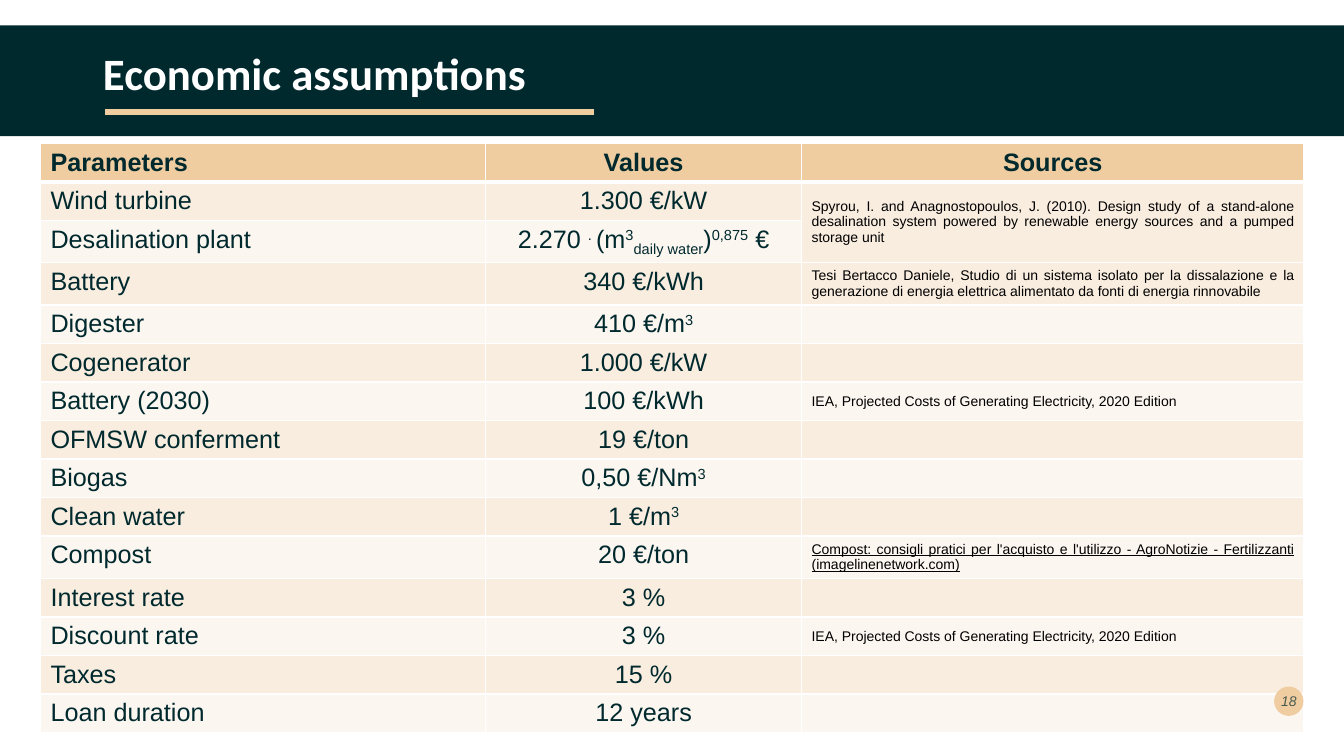
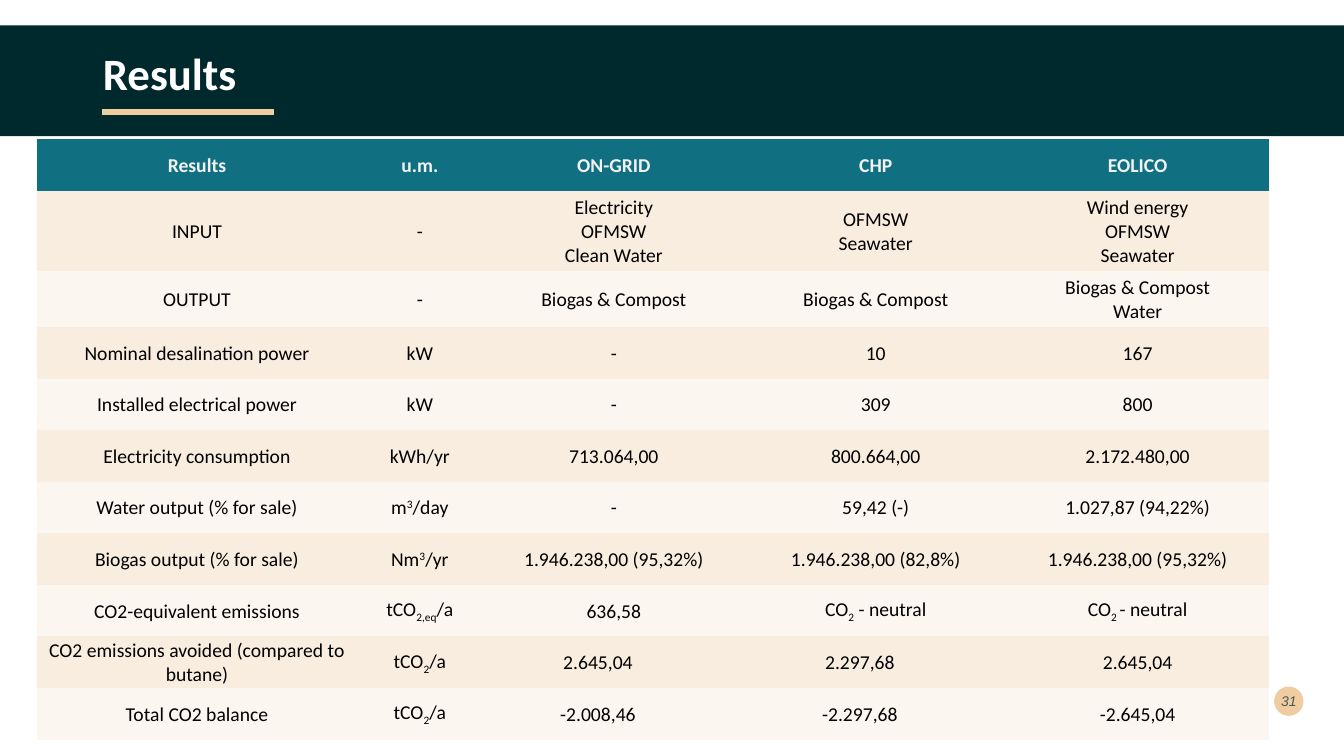
from dataclasses import dataclass

from lxml.etree import SubElement
from pptx import Presentation
from pptx.dml.color import RGBColor
from pptx.enum.shapes import MSO_CONNECTOR, MSO_SHAPE
from pptx.enum.text import MSO_ANCHOR as Anchor, PP_ALIGN as Align
from pptx.oxml.ns import qn
from pptx.util import Cm, Pt

COLORS = {
    "dark": "00292E",
    "sand": "F0CDA1",
    "band_odd": "F9EDE0",
    "band_even": "FCF6F0",
    "teal": "107082",
    "white": "FFFFFF",
    "header_text": "F2F2F2",
    "black": "000000",
    "number": "485A50",
}
SLIDE_WIDTH, SLIDE_HEIGHT = 33.87, 19.05
BASELINES = {"^": "30000", "_": "-25000"}
PLAIN_TABLE_STYLE = "{2D5ABB26-0587-4C30-8999-92F81FD0307C}"

SPYROU = (
    "Spyrou, I. and Anagnostopoulos, J. (2010). Design study of a stand-alone desalination "
    "system powered by renewable energy sources and a pumped storage unit"
)
BERTACCO = (
    "Tesi Bertacco Daniele, Studio di un sistema isolato per la dissalazione e la generazione "
    "di energia elettrica alimentato da fonti di energia rinnovabile"
)
IEA = "IEA, Projected Costs of Generating Electricity, 2020 Edition"
COMPOST = (
    "Compost: consigli pratici per l'acquisto e l'utilizzo - AgroNotizie - Fertilizzanti "
    "(imagelinenetwork.com)"
)

ASSUMPTIONS = [
    ("Parameters", "Values", "Sources"),
    ("Wind turbine", "1.300 €/kW", SPYROU),
    ("Desalination plant", "2.270 |^. |(m|^3|_daily water|)|^0,875| €", ""),
    ("Battery", "340 €/kWh", BERTACCO),
    ("Digester", "410 €/m|^3", ""),
    ("Cogenerator", "1.000 €/kW", ""),
    ("Battery (2030)", "100 €/kWh", IEA),
    ("OFMSW conferment", "19 €/ton", ""),
    ("Biogas", "0,50 €/Nm|^3", ""),
    ("Clean water", "1 €/m|^3", ""),
    ("Compost", "20 €/ton", COMPOST),
    ("Interest rate", "3 %", ""),
    ("Discount rate", "3 %", IEA),
    ("Taxes", "15 %", ""),
    ("Loan duration", "12 years", ""),
]
RESULTS = [
    ("Results", "u.m.", "ON-GRID", "CHP", "EOLICO"),
    ("INPUT", "-", "Electricity\nOFMSW\nClean Water", "OFMSW\nSeawater",
     "Wind energy\nOFMSW\nSeawater"),
    ("OUTPUT", "-", "Biogas & Compost", "Biogas & Compost", "Biogas & Compost\nWater"),
    ("Nominal desalination power", "kW", "-", "10", "167"),
    ("Installed electrical power", "kW", "-", "309", "800"),
    ("Electricity consumption", "kWh/yr", "713.064,00", "800.664,00", "2.172.480,00"),
    ("Water output (% for sale)", "m|^3|/day", "-", "59,42 (-)", "1.027,87 (94,22%)"),
    ("Biogas output (% for sale)", "Nm|^3|/yr", "1.946.238,00 (95,32%)",
     "1.946.238,00 (82,8%)", "1.946.238,00 (95,32%)"),
    ("CO2-equivalent emissions", "tCO|_2,eq|/a", "636,58", "CO|_2| - neutral",
     "CO|_2 |- neutral"),
    ("CO2 emissions avoided (compared to butane)", "tCO|_2|/a", "2.645,04", "2.297,68",
     "2.645,04"),
    ("Total CO2 balance", "tCO|_2|/a", "-2.008,46", "-2.297,68", "-2.645,04"),
]


@dataclass
class TextStyle:
    """Look of the text in a cell or shape."""

    font: str
    size: float
    color: str
    bold: bool = False
    italic: bool = False
    underline: bool = False
    align: Align = Align.CENTER
    anchor: Anchor = Anchor.MIDDLE


def rgb(name):
    """Return the named colour."""
    return RGBColor.from_string(COLORS[name])


def format_font(font, style):
    """Apply a text style to a font."""
    font.name, font.size = style.font, Pt(style.size)
    font.bold, font.italic, font.underline = style.bold, style.italic, style.underline
    font.color.rgb = rgb(style.color)


def write_paragraph(paragraph, text, style):
    """Write text whose |-separated parts may be raised (^) or lowered (_)."""
    paragraph.alignment = style.align
    if not text:
        paragraph._p.get_or_add_endParaRPr().set("sz", "1000")
        return
    for part in text.split("|"):
        run = paragraph.add_run()
        run.text = part[1:] if part[0] in BASELINES else part
        format_font(run.font, style)
        if part[0] in BASELINES:
            run._r.get_or_add_rPr().set("baseline", BASELINES[part[0]])


def write_cell(cell, text, style, fill):
    """Fill a cell and write one paragraph per line."""
    cell.fill.solid()
    cell.fill.fore_color.rgb = rgb(fill)
    cell.vertical_anchor = style.anchor
    for index, line in enumerate(text.split("\n")):
        frame = cell.text_frame
        paragraph = frame.add_paragraph() if index else frame.paragraphs[0]
        write_paragraph(paragraph, line, style)


def add_borders(cell, row):
    """Draw white cell borders, thicker under the header row."""
    properties = cell._tc.get_or_add_tcPr()
    thick_side = {0: "lnB", 1: "lnT"}.get(row)
    for side in ("lnL", "lnR", "lnT", "lnB"):
        width = Pt(3 if side == thick_side else 1)
        line = SubElement(properties, qn(f"a:{side}"), w=str(width))
        color = SubElement(SubElement(line, qn("a:solidFill")), qn("a:srgbClr"))
        color.set("val", COLORS["white"])


def add_grid(slide, rows, left, top, widths, heights, header_fill, pick_style, bordered=False):
    """Add a table with a header and alternating row fills."""
    frame = slide.shapes.add_table(
        len(rows), len(widths), Cm(left), Cm(top), Cm(sum(widths)), Cm(sum(heights))
    )
    table = frame.table
    table._tbl.tblPr.find(qn("a:tableStyleId")).text = PLAIN_TABLE_STYLE
    for column, width in zip(table.columns, widths):
        column.width = Cm(width)
    for table_row, height in zip(table.rows, heights):
        table_row.height = Cm(height)
    for row, texts in enumerate(rows):
        fill = ("band_odd" if row % 2 else "band_even") if row else header_fill
        for column, text in enumerate(texts):
            cell = table.cell(row, column)
            if bordered:
                add_borders(cell, row)
            write_cell(cell, text, pick_style(row, column, text), fill)
    return table


def add_filled_shape(slide, kind, left, top, width, height, fill):
    """Add a flat preset shape without outline."""
    shape = slide.shapes.add_shape(kind, Cm(left), Cm(top), Cm(width), Cm(height))
    shape.shadow.inherit = False
    shape.fill.solid()
    shape.fill.fore_color.rgb = rgb(fill)
    shape.line.fill.background()
    return shape


def add_page_number(slide, number):
    """Add the round page number badge."""
    badge = add_filled_shape(slide, MSO_SHAPE.OVAL, 32.11, 17.3, 0.74, 0.74, "sand")
    frame = badge.text_frame
    frame.margin_left = frame.margin_right = frame.margin_top = frame.margin_bottom = 0
    frame.word_wrap = False
    frame.vertical_anchor = Anchor.MIDDLE
    write_paragraph(frame.paragraphs[0], number, TextStyle("Arial", 10, "number", italic=True))


def add_title(slide, text):
    """Place the title placeholder in front of the band."""
    title = slide.shapes.title
    slide.shapes._spTree.append(title._element)
    title.left, title.top, title.width, title.height = Cm(2.34), Cm(0.08), Cm(29.21), Cm(3.68)
    title.text_frame.text = text
    title.text_frame.vertical_anchor = Anchor.MIDDLE
    paragraph = title.text_frame.paragraphs[0]
    paragraph.alignment = Align.LEFT
    paragraph.line_spacing = 0.9
    format_font(paragraph.runs[0].font, TextStyle("Calibri", 32, "white", bold=True))


def add_underline(slide, start, end):
    """Draw the accent line below the title."""
    line = slide.shapes.add_connector(
        MSO_CONNECTOR.STRAIGHT, Cm(start), Cm(2.83), Cm(end), Cm(2.83)
    )
    line.line.color.rgb = rgb("sand")
    line.line.width = Pt(4.32)
    SubElement(line._element.spPr, qn("a:effectLst"))


def add_frame(slide, title, number, line_start, line_end):
    """Add the band, title, accent line and page number."""
    add_filled_shape(slide, MSO_SHAPE.RECTANGLE, 0, 0.64, SLIDE_WIDTH, 2.79, "dark")
    add_title(slide, title)
    add_underline(slide, line_start, line_end)
    add_page_number(slide, number)


def assumption_style(row, column, text):
    """Choose the text style of an assumptions cell."""
    align = Align.CENTER if column else Align.LEFT
    if row == 0:
        return TextStyle("Arial", 18, "dark", bold=True, align=align)
    if column == 2:
        return TextStyle("Arial", 10, "black", underline=text == COMPOST, align=Align.JUSTIFY)
    return TextStyle("Arial", 18, "dark", align=align, anchor=Anchor.TOP)


def result_style(row, column, text):
    """Choose the text style of a results cell."""
    return TextStyle("Calibri", 14, "black" if row else "header_text", bold=row == 0)


def build_assumptions(slide):
    """Build the economic assumptions slide."""
    heights = [1.07 if row[2] in (BERTACCO, COMPOST) else 0.97 for row in ASSUMPTIONS]
    table = add_grid(slide, ASSUMPTIONS, 1.02, 3.61, [11.22, 7.96, 12.66], heights,
                     "sand", assumption_style, bordered=True)
    table.cell(1, 2).merge(table.cell(2, 2))
    add_frame(slide, "Economic assumptions", "18", 2.64, 14.97)


def build_results(slide):
    """Build the results slide."""
    heights = [1.3, 2.03, 1.4] + [1.3] * (len(RESULTS) - 3)
    table = add_grid(slide, RESULTS, 0.94, 3.51, [8.05, 3.18] + [6.6] * 3, heights,
                     "teal", result_style)
    for cell in table.iter_cells():
        cell.margin_left = cell.margin_right = cell.margin_top = Cm(0.03)
        cell.margin_bottom = 0
    for row in (-2, -1):
        for column in (2, 3):
            table.cell(len(RESULTS) + row, column).margin_right = Cm(0.83)
    add_frame(slide, "Results", "31", 2.57, 6.91)


def main():
    """Create and save the presentation."""
    presentation = Presentation()
    presentation.slide_width, presentation.slide_height = Cm(SLIDE_WIDTH), Cm(SLIDE_HEIGHT)
    title_only = presentation.slide_layouts[5]
    for build in (build_assumptions, build_results):
        build(presentation.slides.add_slide(title_only))
    presentation.save("out.pptx")


if __name__ == "__main__":
    main()
